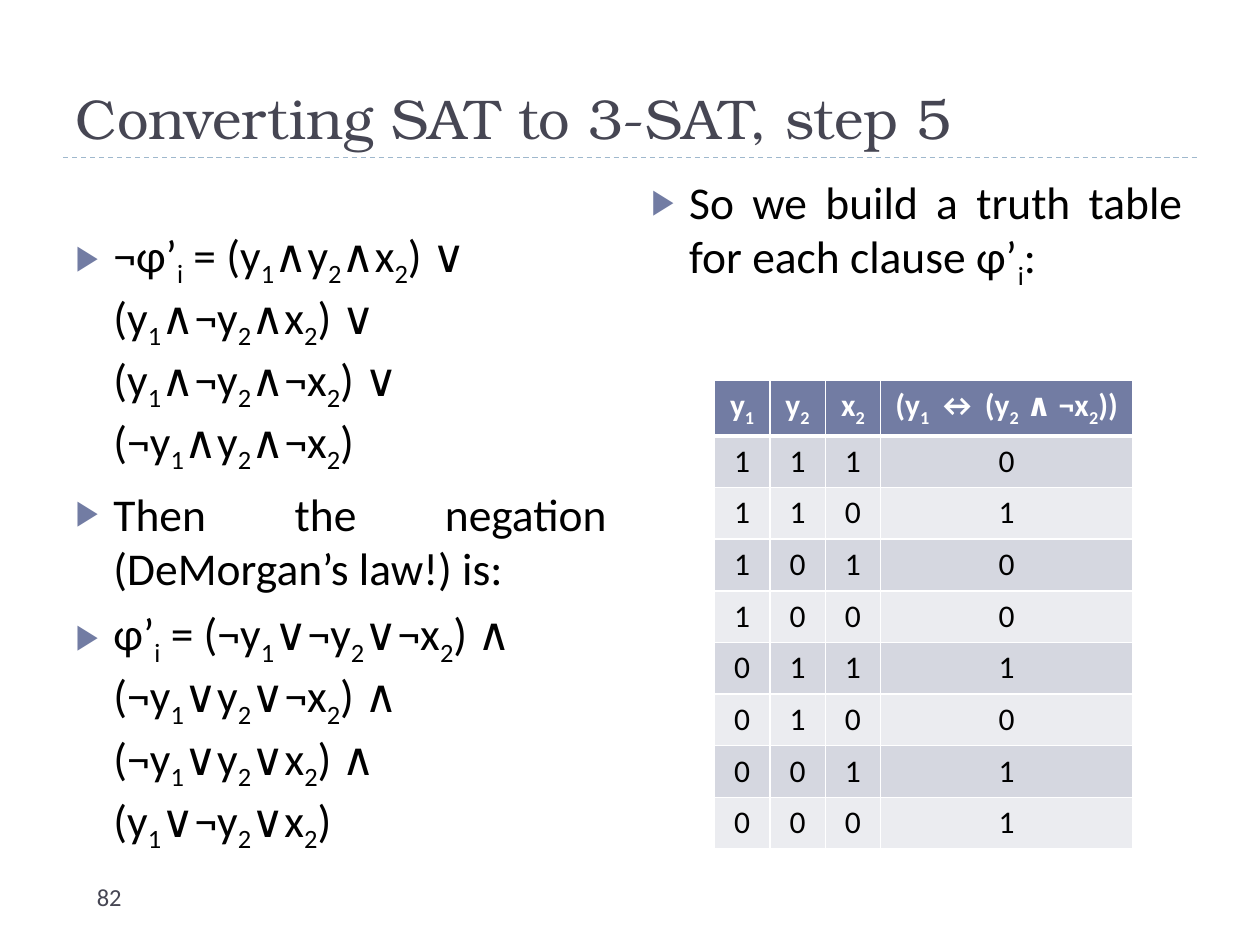
import pptx
import pptx.dml.color
import pptx.enum.dml
import pptx.enum.shapes
import pptx.enum.text
import pptx.oxml
import pptx.oxml.ns
import pptx.util
from lxml import etree
from pptx.util import Inches

COLORS = {
    "title": "464653",
    "accent": "727CA3",
    "rule": "9FB8CD",
    "text": "000000",
    "white": "FFFFFF",
    "odd_row": "D5D7E0",
    "even_row": "EBECF0",
}
BODY_FONT = "Calibri"
TITLE_FONT = "TeX Gyre Bonum"
ALIGN = pptx.enum.text.PP_ALIGN

# "_" makes the next character a subscript, "\n" is a line break.
NEGATED_CLAUSE = (
    "¬φ’_i = (y_1∧y_2∧x_2) ∨\n(y_1∧¬y_2∧x_2) ∨\n"
    "(y_1∧¬y_2∧¬x_2) ∨\n(¬y_1∧y_2∧¬x_2)"
)
CLAUSE = (
    "φ’_i = (¬y_1∨¬y_2∨¬x_2) ∧\n(¬y_1∨y_2∨¬x_2) ∧\n"
    "(¬y_1∨y_2∨x_2) ∧\n(y_1∨¬y_2∨x_2)"
)
LEFT_ITEMS = [
    (NEGATED_CLAUSE, ALIGN.LEFT),
    ("Then the negation (DeMorgan’s law!) is:", ALIGN.JUSTIFY),
    (CLAUSE, ALIGN.LEFT),
]
RIGHT_ITEMS = [("So we build a truth table for each clause φ’_i:", ALIGN.JUSTIFY)]
TRUTH_HEADER = ["y_1", "y_2", "x_2", "(y_1 ↔ (y_2 ∧ ¬x_2))"]
TRUTH_ROWS = ["1110", "1101", "1010", "1000", "0111", "0100", "0011", "0001"]


def rgb(name):
    return pptx.dml.color.RGBColor.from_string(COLORS[name])


def set_font(paragraph, size, color, name=BODY_FONT, bold=False):
    font = paragraph.font
    font.name, font.size, font.bold = name, pptx.util.Pt(size), bold
    font.color.rgb = rgb(color)


def add_formula(paragraph, text):
    """Add text whose "_" marks a one-character subscript."""
    for index, line in enumerate(text.split("\n")):
        if index:
            paragraph.add_line_break()
        first, *rest = line.split("_")
        paragraph.add_run().text = first
        for part in rest:
            subscript = paragraph.add_run()
            subscript.text = part[0]
            subscript.font._element.set("baseline", "-25000")
            if part[1:]:
                paragraph.add_run().text = part[1:]


def add_bullet(paragraph):
    properties = paragraph._p.get_or_add_pPr()
    properties.set("marL", str(Inches(0.3)))
    properties.set("indent", str(-Inches(0.3)))
    namespace = pptx.oxml.ns.nsdecls("a")
    for xml in (
        f'<a:buClr {namespace}><a:srgbClr val="{COLORS["accent"]}"/></a:buClr>',
        f'<a:buSzPct {namespace} val="76000"/>',
        f'<a:buChar {namespace} char="▶"/>',
    ):
        properties.append(pptx.oxml.parse_xml(xml))


def place(shape, left, top, width, height):
    shape.left, shape.top = Inches(left), Inches(top)
    shape.width, shape.height = Inches(width), Inches(height)


def fill_title(slide, left, top, width, height):
    """Title with a dashed rule along its lower edge."""
    title = slide.shapes.title
    place(title, left, top, width, height)
    frame = title.text_frame
    frame.text = "Converting SAT to 3-SAT, step 5"
    frame.auto_size = pptx.enum.text.MSO_AUTO_SIZE.NONE
    frame.vertical_anchor = pptx.enum.text.MSO_ANCHOR.BOTTOM
    frame.paragraphs[0].alignment = ALIGN.LEFT
    set_font(frame.paragraphs[0], 32, "title", TITLE_FONT)

    bottom = Inches(top + height)
    rule = slide.shapes.add_connector(
        pptx.enum.shapes.MSO_CONNECTOR.STRAIGHT,
        Inches(left), bottom, Inches(left + width), bottom,
    )
    rule.line.color.rgb = rgb("rule")
    rule.line.width = pptx.util.Pt(0.75)
    rule.line.dash_style = pptx.enum.dml.MSO_LINE.DASH
    etree.SubElement(rule._element.spPr, pptx.oxml.ns.qn("a:effectLst"))


def fill_body(body, items, left, top, width, height):
    place(body, left, top, width, height)
    frame = body.text_frame
    frame.auto_size = pptx.enum.text.MSO_AUTO_SIZE.NONE
    for index, (text, alignment) in enumerate(items):
        paragraph = frame.add_paragraph() if index else frame.paragraphs[0]
        add_bullet(paragraph)
        paragraph.alignment = alignment
        paragraph.space_before = pptx.util.Pt(6)
        set_font(paragraph, 26, "text")
        add_formula(paragraph, text)


def set_borders(cell, bottom_width, top_width):
    properties = cell._tc.get_or_add_tcPr()
    widths = {"lnL": 1, "lnR": 1, "lnT": top_width, "lnB": bottom_width}
    for tag, width in widths.items():
        properties.append(pptx.oxml.parse_xml(
            f'<a:{tag} {pptx.oxml.ns.nsdecls("a")} w="{pptx.util.Pt(width)}">'
            f'<a:solidFill><a:srgbClr val="{COLORS["white"]}"/></a:solidFill></a:{tag}>'
        ))


def add_truth_table(slide, left, top, column_widths, row_height):
    rows = [TRUTH_HEADER, *TRUTH_ROWS]
    table = slide.shapes.add_table(
        len(rows), len(column_widths), Inches(left), Inches(top),
        Inches(sum(column_widths)), Inches(row_height * len(rows)),
    ).table
    for column, width in zip(table.columns, column_widths):
        column.width = Inches(width)
    for row_index, values in enumerate(rows):
        table.rows[row_index].height = Inches(row_height)
        header = row_index == 0
        fill = "accent" if header else ("odd_row" if row_index % 2 else "even_row")
        for column_index, value in enumerate(values):
            cell = table.cell(row_index, column_index)
            set_borders(cell, 3 if header else 1, 3 if row_index == 1 else 1)
            cell.fill.solid()
            cell.fill.fore_color.rgb = rgb(fill)
            paragraph = cell.text_frame.paragraphs[0]
            paragraph.alignment = ALIGN.CENTER
            set_font(paragraph, 18, "white" if header else "text", bold=header)
            add_formula(paragraph, value)


def add_page_number(slide, left, top, width, height):
    box = slide.shapes.add_textbox(
        Inches(left), Inches(top), Inches(width), Inches(height)
    )
    box.text_frame.word_wrap = True
    box.text_frame.text = "82"
    set_font(box.text_frame.paragraphs[0], 14, "title")


def main():
    presentation = pptx.Presentation()
    presentation.slide_width, presentation.slide_height = Inches(10), Inches(7.5)
    slide = presentation.slides.add_slide(
        presentation.slide_layouts.get_by_name("Two Content")
    )
    fill_title(slide, 0.5, 0.25, 9, 1)
    fill_body(slide.placeholders[1], LEFT_ITEMS, 0.5, 1.75, 4.42, 5.42)
    fill_body(slide.placeholders[2], RIGHT_ITEMS, 5.07, 1.33, 4.42, 5.4)
    add_truth_table(slide, 5.67, 3.02, [0.44, 0.44, 0.44, 2], 0.41)
    add_page_number(slide, 0.67, 6.95, 2.17, 0.4)
    presentation.save("out.pptx")


if __name__ == "__main__":
    main()
